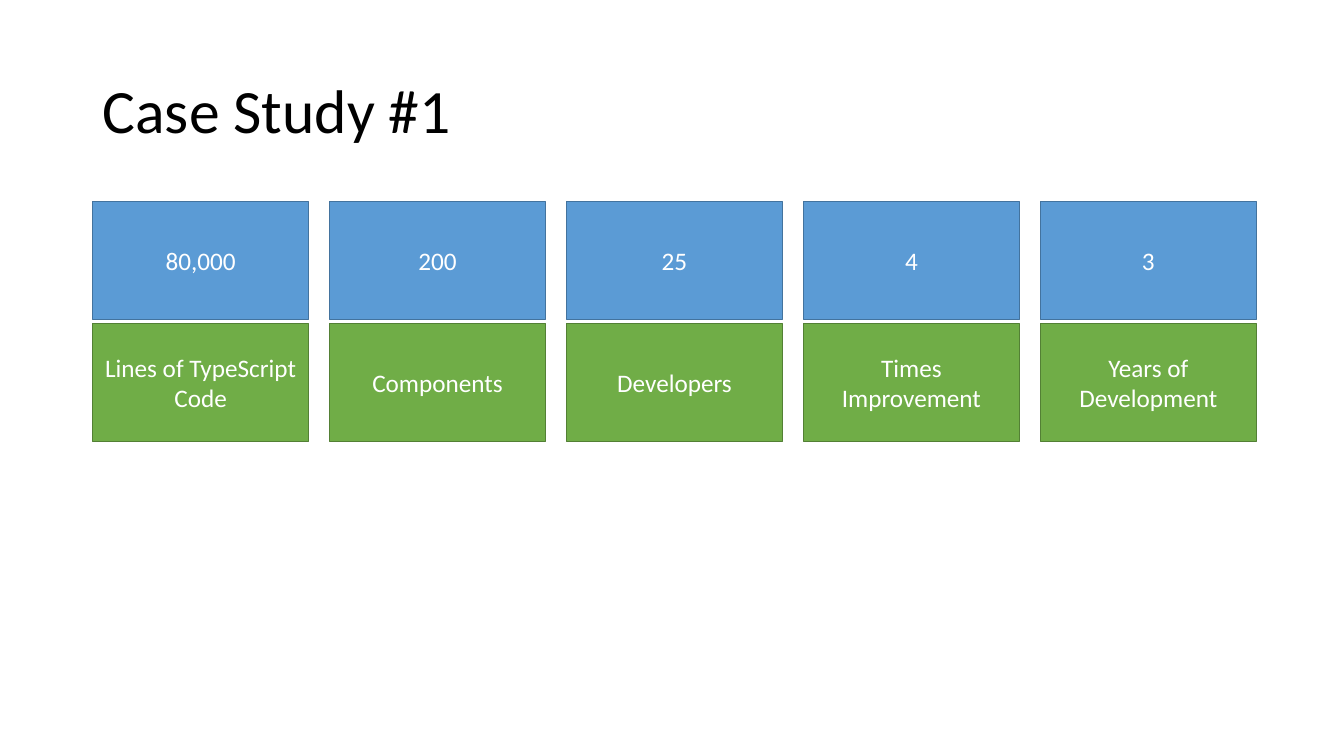
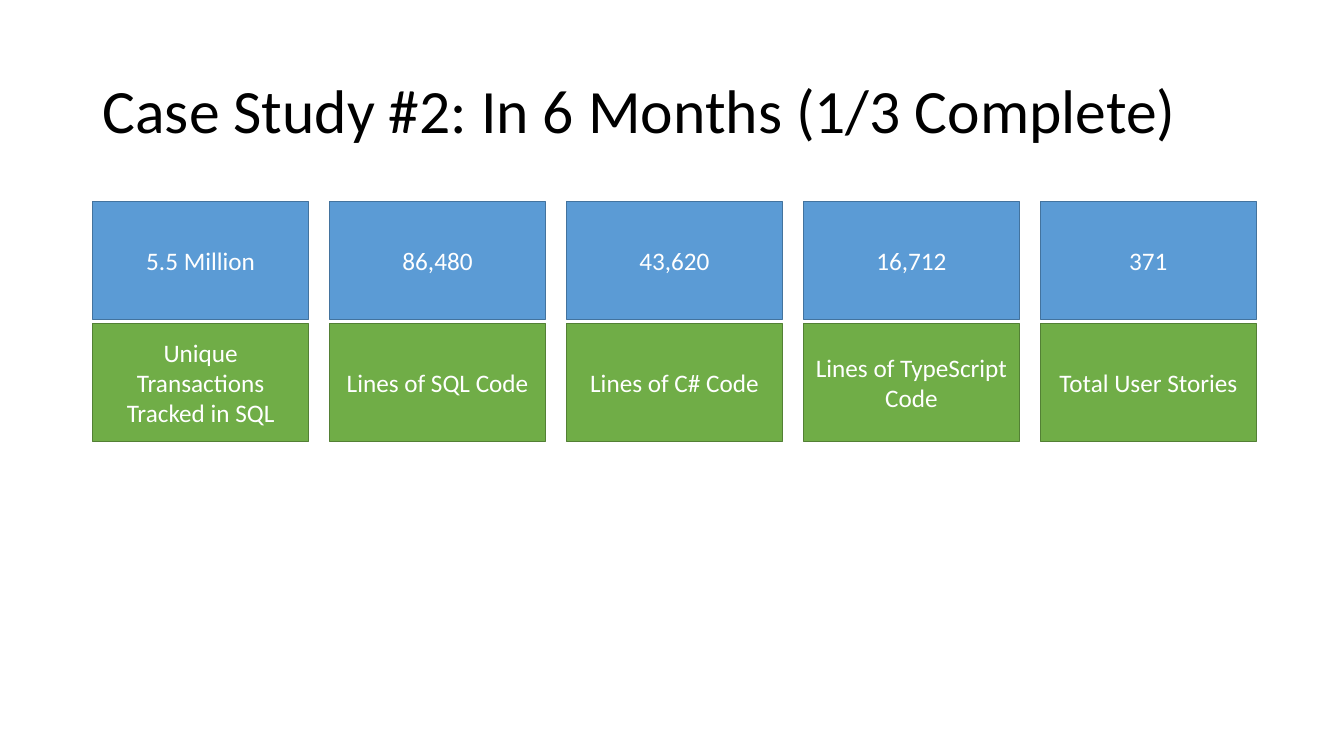
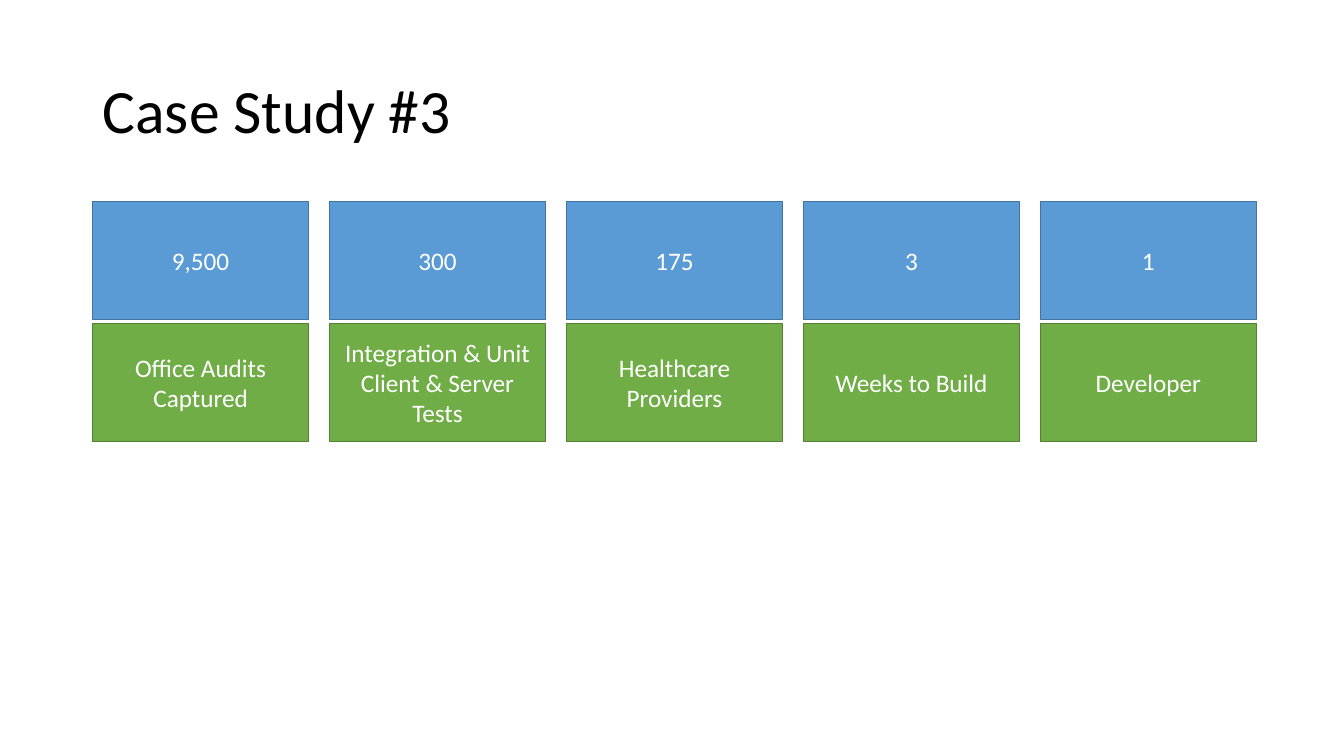
import pptx
import pptx.dml.color
import pptx.enum.shapes
import pptx.enum.text
import pptx.util

inches = pptx.util.Inches
align = pptx.enum.text.PP_ALIGN


def color(hex_string):
    return pptx.dml.color.RGBColor.from_string(hex_string)


def write_text(box, text, paragraph_format, size, hex_string):
    frame = box.text_frame
    frame.word_wrap = True
    frame.vertical_anchor = pptx.enum.text.MSO_ANCHOR.MIDDLE
    para = frame.paragraphs[0]
    for name, value in paragraph_format.items():
        setattr(para, name, value)
    span = para.add_run()
    span.text = text
    font_format = {"name": "Calibri", "size": pptx.util.Pt(size)}
    for name, value in font_format.items():
        setattr(span.font, name, value)
    span.font.color.rgb = color(hex_string)


# Grid: five columns, a row of figures above a row of labels
left, top = 0.92, 2
card_width, card_height = 2.14, 1.17
column_step, row_step = 2.35, 1.21
title_top, title_width, title_height = 0.4, 11.5, 1.45

# Shared styles
title_format = {"alignment": align.LEFT, "line_spacing": 0.9}
card_format = {"alignment": align.CENTER}
row_colors = [("5B9BD5", "43739E"), ("70AD47", "538035")]

# Each case study: title, figures, labels
case_studies = [
    ("Case Study #1",
     ["80,000", "200", "25", "4", "3"],
     ["Lines of TypeScript Code", "Components", "Developers",
      "Times Improvement", "Years of Development"]),
    ("Case Study #2: In 6 Months (1/3 Complete)",
     ["5.5 Million", "86,480", "43,620", "16,712", "371"],
     ["Unique Transactions Tracked in SQL", "Lines of SQL Code",
      "Lines of C# Code", "Lines of TypeScript Code", "Total User Stories"]),
    ("Case Study #3",
     ["9,500", "300", "175", "3", "1"],
     ["Office Audits Captured", "Integration & Unit Client & Server Tests",
      "Healthcare Providers", "Weeks to Build", "Developer"]),
]

deck = pptx.Presentation()
deck.slide_width = inches(13.33)
deck.slide_height = inches(7.5)
blank_layout = deck.slide_layouts[6]

for title, figures, labels in case_studies:
    page = deck.slides.add_slide(blank_layout)

    # Title
    title_box = page.shapes.add_textbox(
        inches(left), inches(title_top), inches(title_width), inches(title_height))
    write_text(title_box, title, title_format, 44, "000000")

    # Cards
    for row, (texts, (fill, border)) in enumerate(zip([figures, labels], row_colors)):
        for column, text in enumerate(texts):
            card = page.shapes.add_shape(
                pptx.enum.shapes.MSO_SHAPE.RECTANGLE,
                inches(left + column * column_step), inches(top + row * row_step),
                inches(card_width), inches(card_height))
            card.shadow.inherit = False
            card.fill.solid()
            card.fill.fore_color.rgb = color(fill)
            card.line.color.rgb = color(border)
            card.line.width = pptx.util.Pt(1)
            write_text(card, text, card_format, 18, "FFFFFF")

deck.save("out.pptx")
